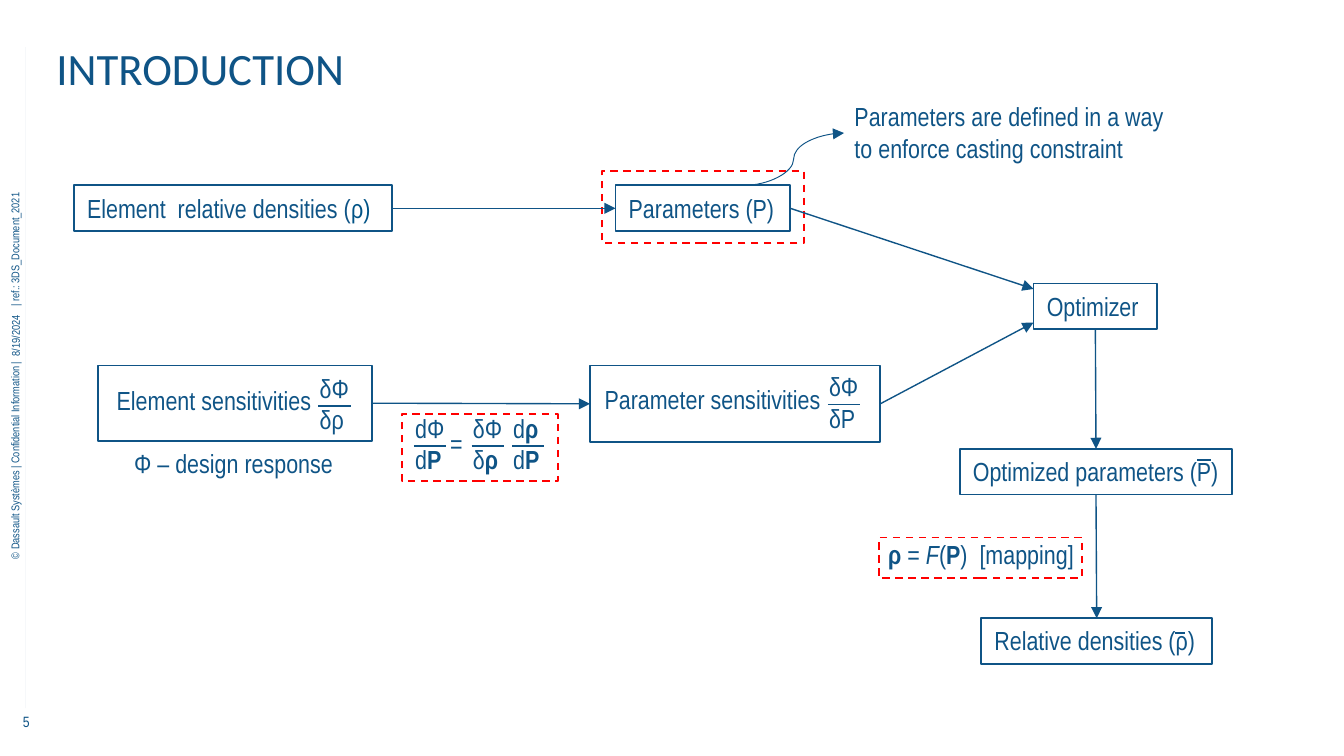
from dataclasses import dataclass, field

from lxml import etree
from pptx import Presentation
from pptx.dml.color import RGBColor
from pptx.enum.dml import MSO_LINE
from pptx.enum.shapes import MSO_CONNECTOR as Conn, MSO_SHAPE
from pptx.enum.text import MSO_ANCHOR, PP_ALIGN
from pptx.oxml.ns import qn
from pptx.util import Inches, Pt

BLUE = RGBColor(0x0F, 0x54, 0x86)
DEEP_BLUE = RGBColor(0x00, 0x53, 0x86)
RED = RGBColor(0xFF, 0x00, 0x00)
BODY = "Arial Narrow"
TOP, LEFT, BOTTOM, RIGHT = range(4)
BOX_H = 0.34


@dataclass
class Run:
    text: str
    bold: bool = False
    italic: bool = False
    color: RGBColor = BLUE


@dataclass
class Box:
    x: float
    y: float
    w: float
    h: float = BOX_H
    runs: list[Run] = field(default_factory=list)
    color: RGBColor = BLUE
    dashed: bool = False


@dataclass
class Fraction:
    x: float
    y: float
    top: list[Run]
    bottom: list[Run]


def fill_text(tf, lines: list[list[Run]], size: float = 14, font: str = BODY,
              inset: bool = True, align=PP_ALIGN.LEFT, anchor=MSO_ANCHOR.TOP) -> None:
    tf.word_wrap = True
    tf.vertical_anchor = anchor
    tf.margin_right = 0
    if not inset:
        tf.margin_left = tf.margin_top = tf.margin_bottom = 0
    for i, line in enumerate(lines):
        p = tf.add_paragraph() if i else tf.paragraphs[0]
        p.alignment = align
        for part in line:
            r = p.add_run()
            r.text = part.text
            r.font.name, r.font.size = font, Pt(size)
            r.font.bold, r.font.italic = part.bold, part.italic
            r.font.color.rgb = part.color


def add_text(s, x: float, y: float, w: float, h: float, lines: list[list[Run]], **style):
    sp = s.shapes.add_textbox(Inches(x), Inches(y), Inches(w), Inches(h))
    fill_text(sp.text_frame, lines, **style)
    return sp


def add_box(s, box: Box):
    sp = s.shapes.add_shape(MSO_SHAPE.RECTANGLE, Inches(box.x), Inches(box.y),
                            Inches(box.w), Inches(box.h))
    sp.shadow.inherit = False
    sp.fill.background()
    sp.line.color.rgb = box.color
    sp.line.width = Pt(1)
    if box.dashed:
        sp.line.dash_style = MSO_LINE.DASH
    if box.runs:
        fill_text(sp.text_frame, [box.runs])
    return sp


def add_line(s, x1: float, y1: float, x2: float, y2: float, width: float = 1,
             arrow: bool = False, kind=Conn.STRAIGHT):
    line = s.shapes.add_connector(kind, Inches(x1), Inches(y1), Inches(x2), Inches(y2))
    line.line.color.rgb = BLUE
    line.line.width = Pt(width)
    if arrow:
        ln = line._element.spPr.find(qn("a:ln"))
        etree.SubElement(ln, qn("a:tailEnd"), type="triangle")
    etree.SubElement(line._element.spPr, qn("a:effectLst"))
    return line


def add_fraction(s, frac: Fraction) -> None:
    add_text(s, frac.x, frac.y, 0.51, 0.57, [frac.top, frac.bottom])
    add_line(s, frac.x + 0.09, frac.y + 0.3, frac.x + 0.33, frac.y + 0.3)


prs = Presentation()
prs.slide_width, prs.slide_height = Inches(10), Inches(10 * 9 / 16)
s = prs.slides.add_slide(prs.slide_layouts[6])

# Page number, faint side rule and title
add_text(s, 0, 5.3, 0.39, 0.13, [[Run("5")]], size=8, inset=False, align=PP_ALIGN.CENTER)
rule = add_line(s, 0.19, 0.35, 0.19, 5.27, 0.2)
rule_color = next(rule._element.spPr.iter(qn("a:srgbClr")))
etree.SubElement(rule_color, qn("a:alpha"), val="10000")
add_text(s, 0.42, 0.3, 8.97, 0.48, [[Run("INTRODUCTION")]],
         size=24, font="Calibri", inset=False)

# Copyright line up the side, with a tab that leaves room for the date
rights = "© Dassault Systèmes | Confidential Information |\t| ref.: 3DS_Document_2021"
side = add_text(s, -1.58, 2.76, 3.38, 0.1, [[Run(rights)]], size=6, inset=False,
                anchor=MSO_ANCHOR.MIDDLE)
side.rotation = 270
side.text_frame.margin_left = Inches(0.34)
tabs = etree.SubElement(side.text_frame.paragraphs[0]._p.get_or_add_pPr(), qn("a:tabLst"))
etree.SubElement(tabs, qn("a:tab"), pos=str(Inches(1.88)), algn="l")
date = add_text(s, -0.08, 2.45, 0.39, 0.1, [[Run("8/19/2024")]], size=6, inset=False,
                align=PP_ALIGN.CENTER, anchor=MSO_ANCHOR.MIDDLE)
date.rotation = 270

# Flow boxes
densities = add_box(s, Box(0.55, 1.38, 2.37, runs=[
    Run("Element  relative densities ("), Run("ρ)", color=DEEP_BLUE)]))
parameters = add_box(s, Box(4.58, 1.38, 1.3, runs=[Run("Parameters (P)")]))
element_sens = add_box(s, Box(0.73, 2.72, 2.04, 0.56))
parameter_sens = add_box(s, Box(4.39, 2.72, 2.16, 0.57))
optimizer = add_box(s, Box(7.69, 2.11, 0.92, runs=[Run("Optimizer")]))
optimized = add_box(s, Box(7.14, 3.34, 2.03, runs=[Run("Optimized parameters (P)")]))
relative = add_box(s, Box(7.3, 4.6, 1.72, runs=[Run("Relative densities (ρ)")]))

# Dashed highlights: parameters, chain rule, mapping
for x, y, w, h in ((4.48, 1.27, 1.5, 0.54), (2.99, 3.08, 1.16, 0.5), (6.54, 4, 1.51, 0.3)):
    add_box(s, Box(x, y, w, h, color=RED, dashed=True))

# Arrows joined at both ends
for start, start_side, end, end_side in (
    (densities, RIGHT, parameters, LEFT),
    (element_sens, RIGHT, parameter_sens, LEFT),
    (optimizer, BOTTOM, optimized, TOP),
    (optimized, BOTTOM, relative, TOP),
):
    arrow = add_line(s, 0, 0, 1, 1, 0.75, arrow=True)
    arrow.begin_connect(start, start_side)
    arrow.end_connect(end, end_side)

# Arrows that meet the optimizer near its corners
for start, y in ((parameters, 2.15), (parameter_sens, 2.4)):
    arrow = add_line(s, 0, 0, 7.69, y, 0.75, arrow=True)
    arrow.begin_connect(start, RIGHT)

# Curved pointer to the remark
add_line(s, 5.53, 1.38, 6.28, 0.99, 0.5, arrow=True, kind=Conn.CURVE)

# Plain labels
for x, y, w, h, text in (
    (0.77, 2.81, 1.7, BOX_H, "Element sensitivities"),
    (4.4, 2.8, 1.8, BOX_H, "Parameter sensitivities"),
    (0.9, 3.28, 2, BOX_H, "Φ – design response"),
    (6.26, 0.7, 2.54, 0.57, "Parameters are defined in a way to enforce casting constraint"),
    (3.25, 3.13, 0.65, BOX_H, "="),
):
    add_text(s, x, y, w, h, [[Run(text)]])

# Mapping formula
add_text(s, 6.51, 3.96, 1.7, BOX_H, [[
    Run("ρ ", bold=True), Run("= "), Run("F", italic=True), Run("("),
    Run("P", bold=True), Run(")  [mapping]")]])

# Sensitivity fractions and chain rule
for frac in (
    Fraction(2.28, 2.72, [Run("δΦ")], [Run("δρ")]),
    Fraction(6.07, 2.71, [Run("δΦ")], [Run("δP")]),
    Fraction(2.99, 3.02, [Run("dΦ")], [Run("d"), Run("P", bold=True)]),
    Fraction(3.42, 3.02, [Run("δΦ")], [Run("δ"), Run("ρ", bold=True)]),
    Fraction(3.72, 3.02, [Run("d"), Run("ρ", bold=True)], [Run("d"), Run("P", bold=True)]),
):
    add_fraction(s, frac)

# Overbars on the optimized P and ρ
add_line(s, 8.91, 3.42, 9.01, 3.42)
add_line(s, 8.74, 4.71, 8.82, 4.71)

prs.save("out.pptx")
